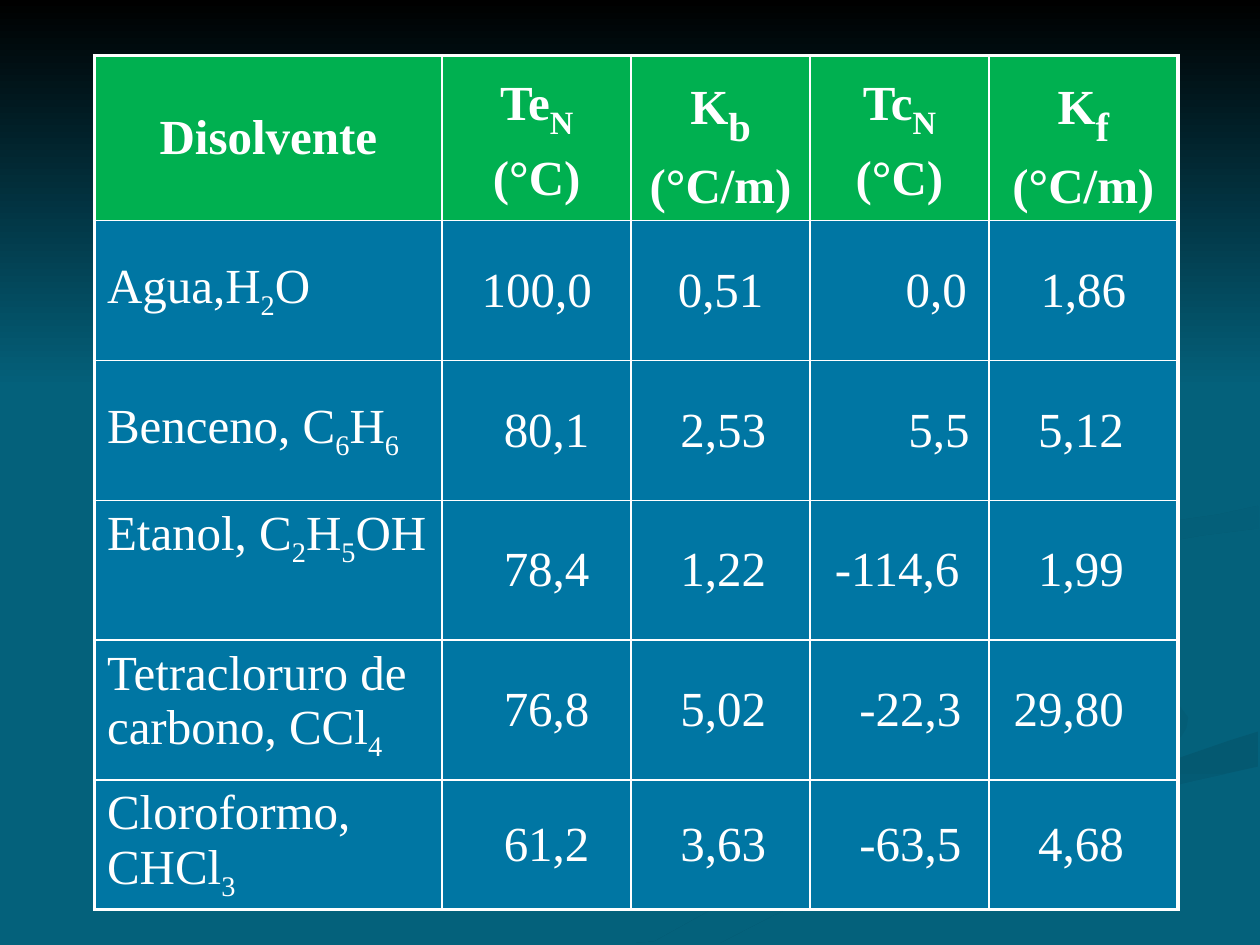
"""Builds a slide with a table of boiling and freezing constants of solvents."""
from lxml import etree
from pptx import Presentation
from pptx.dml.color import RGBColor
from pptx.enum.text import MSO_ANCHOR, PP_ALIGN
from pptx.oxml.ns import qn
from pptx.util import Pt

CENTER, LEFT = PP_ALIGN.CENTER, PP_ALIGN.LEFT
MIDDLE, TOP = MSO_ANCHOR.MIDDLE, MSO_ANCHOR.TOP

FONT, SIZE = "Times New Roman", 28
WHITE, GREEN, BLUE, TEAL = "FFFFFF", "00B050", "0076A3", "04617B"
THIN, THICK = 1, 2.25
MARGIN = 7.2

HEADERS = [
    (["Disolvente"], SIZE),
    (["Te_N", "(°C)"], 32),
    (["K_b", "(°C/m)"], 40),
    (["Tc_N", "(°C)"], 32),
    (["K_f", "(°C/m)"], 40),
]
SOLVENTS = [
    ("Agua,H_2O", MIDDLE, CENTER, [("100,0", 0), ("0,51", 0), ("0,0", 42), ("1,86", 0)]),
    ("Benceno, C_6H_6", MIDDLE, LEFT, [("80,1", 28), ("2,53", 21), ("5,5", 49), ("5,12", 21)]),
    ("Etanol, C_2H_5OH", TOP, LEFT, [("78,4", 28), ("1,22", 21), ("-114,6", 7), ("1,99", 21)]),
    ("Tetracloruro de carbono, CCl_4", TOP, LEFT,
     [("76,8", 28), ("5,02", 21), ("-22,3", 21), ("29,80", 7)]),
    ("Cloroformo, CHCl_3", TOP, LEFT, [("61,2", 28), ("3,63", 21), ("-63,5", 21), ("4,68", 21)]),
]
COLUMN_WIDTHS = [198.7, 108, 102.2, 102.2, 108]
ROW_HEIGHTS = [81.4, 79.9, 79.9, 79.9, 79.9, 74.2]
TABLE_LEFT, TABLE_TOP = 54, 31.7

BACKDROP = [
    ((TEAL, "045D76"), 0, [
        (563, 398), (531, 383), (476, 369), (434, 353), (414, 337), (414, 330), (410, 340),
        (423, 351), (454, 364), (502, 378), (548, 394), (565, 405), (562, 416), (540, 428),
        (504, 438), (444, 453), (388, 467), (330, 485), (271, 509), (216, 539), (260, 539),
        (310, 514), (359, 495), (406, 479), (449, 466), (504, 452), (554, 439), (575, 423),
        (575, 412)]),
    ((TEAL, "045D76"), 45, [
        (679, 410), (670, 398), (652, 389), (626, 381), (584, 371), (546, 359), (526, 345),
        (521, 334), (528, 352), (544, 364), (574, 377), (615, 388), (642, 395), (656, 405),
        (661, 418), (653, 430), (644, 436), (660, 430), (675, 421), (678, 416)]),
    (("045971", TEAL), 90, [
        (374, 538), (362, 539), (411, 539), (442, 523), (482, 505), (541, 484), (620, 461),
        (683, 446), (719, 438), (719, 418), (703, 423), (674, 433), (624, 446), (550, 466),
        (501, 482), (454, 499), (410, 518)]),
    (("045C74", TEAL), 45, [
        (563, 331), (563, 338), (570, 344), (580, 350), (595, 357), (582, 348), (580, 340),
        (585, 333), (596, 326), (618, 319), (646, 313), (687, 306), (719, 302), (719, 289),
        (696, 294), (647, 301), (601, 310), (575, 318)]),
    (("000000", TEAL), 90, [(0, 0), (0, 222), (720, 222), (720, 0)]),
]


def color(value):
    return RGBColor.from_string(value)


def add_backdrop(slide, colors, angle, points):
    outline = [(Pt(x), Pt(y)) for x, y in points]
    builder = slide.shapes.build_freeform(*outline[0])
    builder.add_line_segments(outline[1:])
    shape = builder.convert_to_shape()
    shape.shadow.inherit = False
    shape.line.fill.background()
    shape.fill.gradient()
    shape.fill.gradient_angle = (360 - angle) % 360
    for stop, value in zip(shape.fill.gradient_stops, colors):
        stop.color.rgb = color(value)


def add_run(paragraph, text, size, bold, subscript=False):
    run = paragraph.add_run()
    run.text = text
    run.font.name, run.font.size, run.font.bold = FONT, Pt(size), bold
    run.font.color.rgb = color(WHITE)
    if subscript:
        run.font._element.set("baseline", "-25000")


def write_cell(cell, lines, fill, anchor=MIDDLE, align=LEFT, indent=0, bold=False, sub_size=SIZE):
    cell.fill.solid()
    cell.fill.fore_color.rgb = color(fill)
    cell.vertical_anchor = anchor
    cell.margin_left = Pt(MARGIN + indent)
    cell.text = "\n".join(lines)
    for paragraph, line in zip(cell.text_frame.paragraphs, lines):
        paragraph.clear()
        paragraph.alignment = align
        paragraph.space_before = Pt(SIZE * 0.2)
        start, *pieces = line.split("_")
        add_run(paragraph, start, SIZE, bold)
        for piece in pieces:
            add_run(paragraph, piece[0], sub_size, bold, subscript=True)
            if piece[1:]:
                add_run(paragraph, piece[1:], SIZE, bold)


def set_borders(cell, widths):
    properties = cell._tc.get_or_add_tcPr()
    for index, (side, width) in enumerate(widths.items()):
        line = etree.Element(qn(f"a:ln{side}"), w=str(Pt(width)))
        solid = etree.SubElement(line, qn("a:solidFill"))
        etree.SubElement(solid, qn("a:srgbClr"), val=WHITE)
        properties.insert(index, line)


def add_solvent_table(slide):
    row_count, column_count = len(ROW_HEIGHTS), len(COLUMN_WIDTHS)
    table = slide.shapes.add_table(
        row_count, column_count, Pt(TABLE_LEFT), Pt(TABLE_TOP),
        Pt(sum(COLUMN_WIDTHS)), Pt(sum(ROW_HEIGHTS))).table
    for column, width in zip(table.columns, COLUMN_WIDTHS):
        column.width = Pt(width)
    for row, height in zip(table.rows, ROW_HEIGHTS):
        row.height = Pt(height)
    for index, (lines, sub_size) in enumerate(HEADERS):
        write_cell(table.cell(0, index), lines, GREEN, align=CENTER, bold=True, sub_size=sub_size)
    for row, (name, anchor, align, values) in enumerate(SOLVENTS, 1):
        write_cell(table.cell(row, 0), [name], BLUE, anchor)
        for column, (value, indent) in enumerate(values, 1):
            write_cell(table.cell(row, column), [value], BLUE, align=align, indent=indent)
    for row in range(row_count):
        for column in range(column_count):
            outer = {"L": column == 0, "R": column == column_count - 1,
                     "T": row == 0, "B": row == row_count - 1}
            set_borders(table.cell(row, column),
                        {side: THICK if edge else THIN for side, edge in outer.items()})


def main():
    presentation = Presentation()
    presentation.slide_width, presentation.slide_height = Pt(720), Pt(540)
    slide = presentation.slides.add_slide(presentation.slide_layouts[6])
    slide.background.fill.solid()
    slide.background.fill.fore_color.rgb = color(TEAL)
    for colors, angle, points in BACKDROP:
        add_backdrop(slide, colors, angle, points)
    add_solvent_table(slide)
    presentation.save("out.pptx")


if __name__ == "__main__":
    main()
